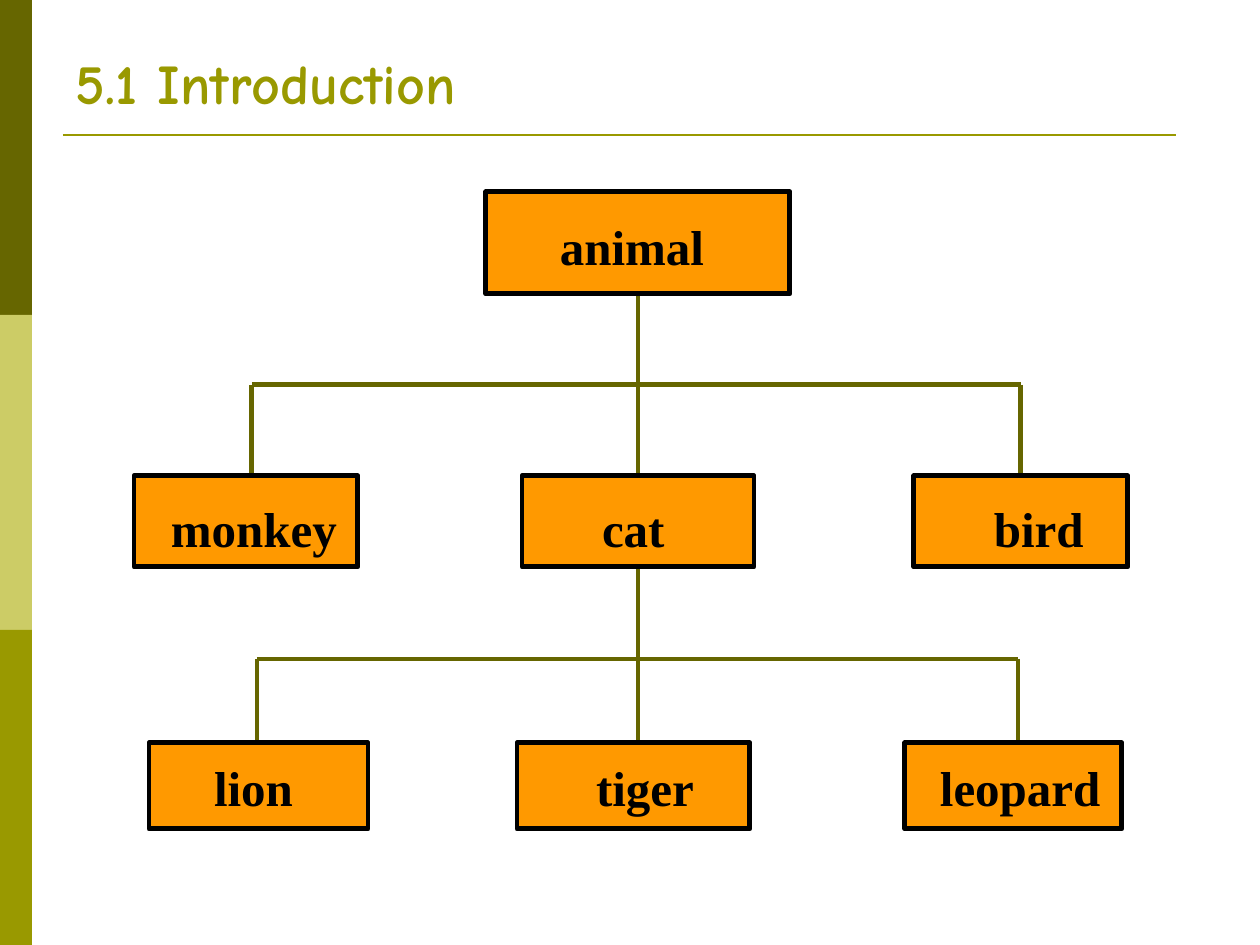
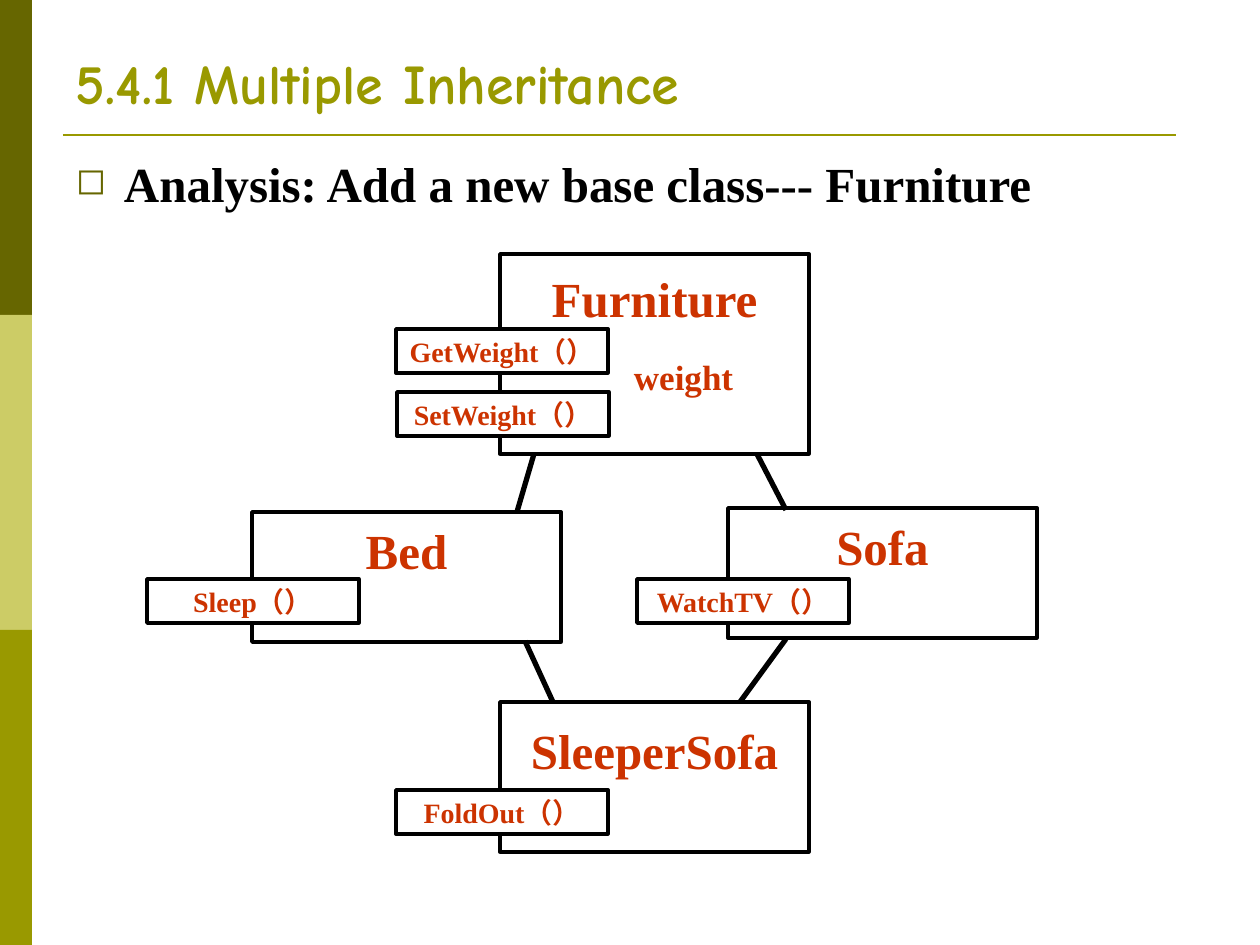
import pptx
import pptx.dml.color
import pptx.enum.shapes
import pptx.enum.text
import pptx.oxml.ns
import pptx.util
from lxml import etree

PX = 914400 // 126
COLORS = {"dark": "666600", "pale": "CCCC66", "olive": "999900", "orange": "FF9900",
          "red": "CC3300", "black": "000000", "white": "FFFFFF"}
SERIF, TITLE_FONT = "Times New Roman", "Comic Neue"
ALIGN = pptx.enum.text.PP_ALIGN
ANCHOR = pptx.enum.text.MSO_ANCHOR
rgb = pptx.dml.color.RGBColor.from_string
qn = pptx.oxml.ns.qn


def add_box(slide, frame, text="", size=28, color="black", font=SERIF, fill=None, line=None,
            insets=(0, 0), align=ALIGN.LEFT, anchor=ANCHOR.TOP, bullet=False):
    """Add a rectangle, or a plain text box when it has neither fill nor line."""
    frame = [value * PX for value in frame]
    if fill or line:
        shape = slide.shapes.add_shape(pptx.enum.shapes.MSO_SHAPE.RECTANGLE, *frame)
        shape.shadow.inherit = False
        shape.fill.background()
        shape.line.fill.background()
        if fill:
            shape.fill.solid()
            shape.fill.fore_color.rgb = rgb(COLORS[fill])
        if line:
            shape.line.color.rgb = rgb(COLORS["black"])
            shape.line.width = pptx.util.Pt(line)
    else:
        shape = slide.shapes.add_textbox(*frame)
    if not text:
        return shape
    text_frame = shape.text_frame
    text_frame.word_wrap = align != ALIGN.CENTER
    text_frame.vertical_anchor = anchor
    text_frame.margin_left, text_frame.margin_top = (value * PX for value in insets)
    text_frame.margin_right = 0
    text_frame.margin_bottom = insets[1] * PX if anchor == ANCHOR.BOTTOM else 0
    paragraph = text_frame.paragraphs[0]
    paragraph.text = text
    paragraph.alignment = align
    if bullet:
        properties = paragraph._p.get_or_add_pPr()
        properties.set("marL", str(48 * PX))
        properties.set("indent", str(-48 * PX))
        bullet_color = etree.SubElement(properties, qn("a:buClr"))
        etree.SubElement(bullet_color, qn("a:srgbClr"), val=COLORS["dark"])
        etree.SubElement(properties, qn("a:buSzPct"), val="75000")
        etree.SubElement(properties, qn("a:buChar"), char="◻")
    paragraph.font.name = font
    paragraph.font.size = pptx.util.Pt(size)
    paragraph.font.bold = True
    paragraph.font.color.rgb = rgb(COLORS[color])
    return shape


def add_line(slide, points, color, width):
    connector = slide.shapes.add_connector(pptx.enum.shapes.MSO_CONNECTOR.STRAIGHT,
                                           *[value * PX for value in points])
    connector.line.color.rgb = rgb(COLORS[color])
    connector.line.width = pptx.util.Pt(width)
    etree.SubElement(connector._element.spPr, qn("a:effectLst"))
    return connector


presentation = pptx.Presentation()
presentation.slide_width = 1260 * PX
presentation.slide_height = 945 * PX

# Shared frame: side bands, title and rule
slides = []
for title in ("5.1 Introduction", "5.4.1 Multiple Inheritance"):
    slide = presentation.slides.add_slide(presentation.slide_layouts[6])
    for index, band in enumerate(("dark", "pale", "olive")):
        add_box(slide, (0, 315 * index, 32, 315), fill=band)
    add_line(slide, (63, 135, 1176, 135), "olive", 1.5)
    add_box(slide, (63, 35, 1134, 87), title, 32, "olive", TITLE_FONT,
            insets=(13, 6), anchor=ANCHOR.BOTTOM)
    slides.append(slide)
tree_slide, class_slide = slides

# Animal tree: parent, child, trunk x, parent bottom, bus y, child top
center = 638
levels = [
    ("animal", 294, 385, 476, {"monkey": 252, "cat": center, "bird": 1021}),
    ("cat", 567, 659, 743, {"lion": 257, "tiger": center, "leopard": 1018}),
]
joins = []
for parent, bottom, bus, top, children in levels:
    trunk = add_line(tree_slide, (center, bottom, center, bus), "dark", 2.81)
    joins.append((trunk.begin_connect, parent, 2))
    for child, x in children.items():
        drop = add_line(tree_slide, (x, bus, x, top), "dark", 2.81)
        if child in ("cat", "bird"):
            joins.append((drop.end_connect, child, 0))
        if x != center:
            add_line(tree_slide, (x, bus, center, bus), "dark", 2.81)

# Animal boxes: row top, height, label inset, then left, width and label x
rows = [
    (192, 102, 25, {"animal": (486, 304, 560)}),
    (476, 91, 23, {"monkey": (134, 224, 171), "cat": (522, 232, 602), "bird": (914, 214, 994)}),
    (743, 86, 15, {"lion": (149, 219, 214), "tiger": (517, 233, 596),
                   "leopard": (905, 217, 940)}),
]
animals = {}
for top, height, label_top, row in rows:
    for animal, (left, width, label_x) in row.items():
        animals[animal] = add_box(tree_slide, (left, top, width, height), animal,
                                  fill="orange", line=2.81, insets=(label_x - left, label_top))
for connect, animal, side in joins:
    connect(animals[animal], side)

# Analysis statement
add_box(class_slide, (63, 145, 1134, 100), "Analysis: Add a new base class--- Furniture",
        insets=(13, 9), bullet=True)

# Class boxes: left, top, height, name inset
classes = {
    "Sofa": (728, 508, 130, 9),
    "Bed": (252, 512, 130, 9),
    "SleeperSofa": (500, 702, 150, 19),
    "Furniture": (500, 254, 200, 15),
}
for name, (left, top, height, name_top) in classes.items():
    add_box(class_slide, (left, top, 309, height), name, color="red", line=2,
            insets=(0, name_top), align=ALIGN.CENTER)
add_box(class_slide, (634, 356, 150, 42), "weight", 20, "red")

# Method boxes
methods = {
    "GetWeight（）": (396, 329),
    "SetWeight（）": (397, 392),
    "Sleep（）": (147, 579),
    "WatchTV（）": (637, 579),
    "FoldOut（）": (396, 790),
}
for method, (left, top) in methods.items():
    add_box(class_slide, (left, top, 212, 44), method, 16, "red", fill="white", line=2,
            align=ALIGN.CENTER, anchor=ANCHOR.MIDDLE)

# Inheritance links
for link in ((534, 454, 517, 512), (757, 454, 786, 510),
             (525, 641, 553, 702), (786, 639, 740, 702)):
    add_line(class_slide, link, "black", 3)

presentation.save("out.pptx")
